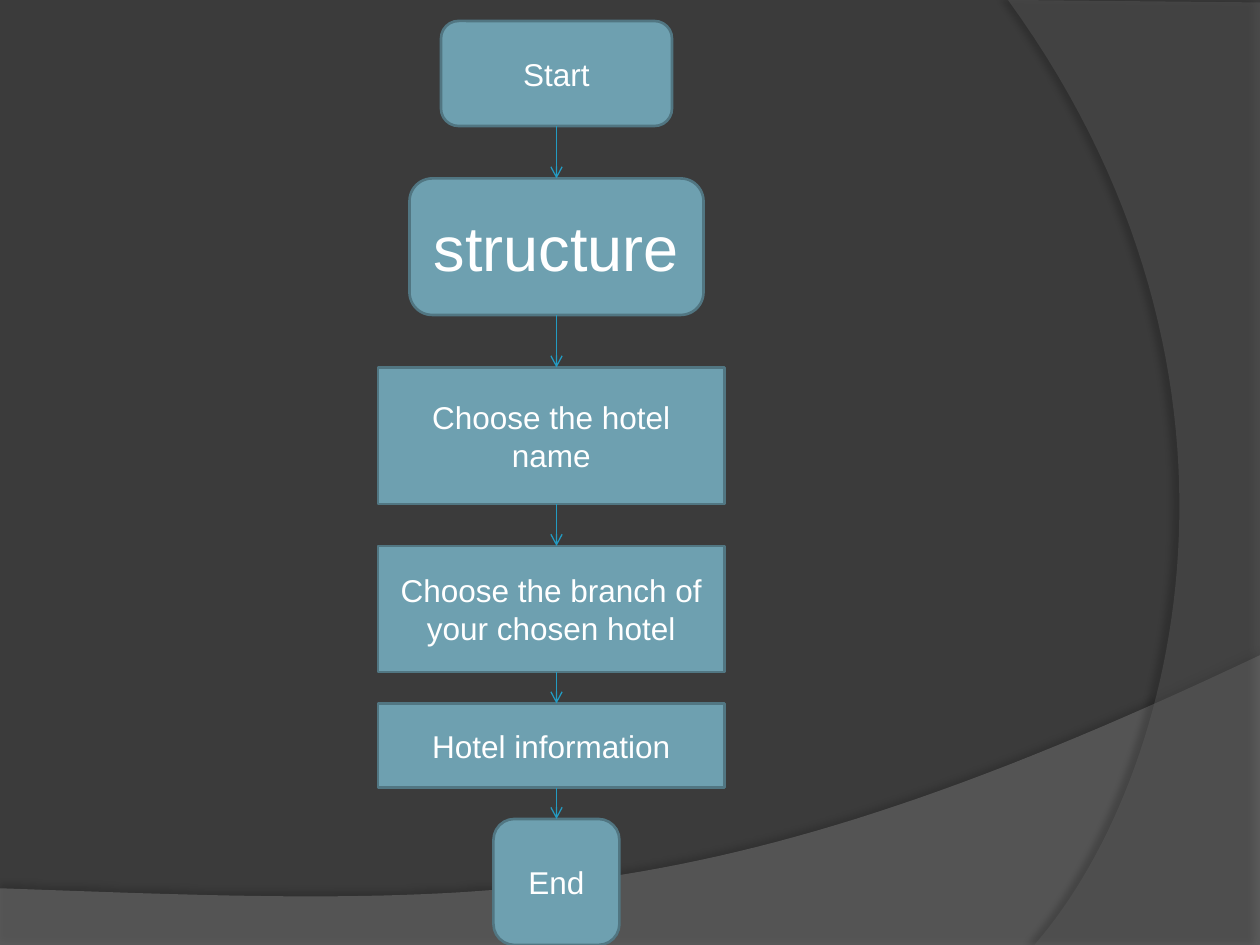
from lxml import etree
from pptx import Presentation
from pptx.dml.color import RGBColor
from pptx.enum.shapes import MSO_CONNECTOR, MSO_SHAPE
from pptx.enum.text import MSO_ANCHOR, PP_ALIGN
from pptx.oxml.ns import qn
from pptx.util import Pt

ROUNDED = MSO_SHAPE.ROUNDED_RECTANGLE
RECTANGLE = MSO_SHAPE.RECTANGLE
STRAIGHT = MSO_CONNECTOR.STRAIGHT
MIDDLE = MSO_ANCHOR.MIDDLE
CENTER = PP_ALIGN.CENTER
TOP_SITE, BOTTOM_SITE = 0, 2

FONT = "Arial"
COLORS = {
    "background": "3B3B3B",
    "sweep": "7F7F7F",
    "side": "5E5E5E",
    "shadow": "000000",
    "box": "6EA0B0",
    "border": "517682",
    "arrow": "239BC2",
    "text": "FFFFFF",
}
FLOW_AXIS = 102
STEPS = [
    ("Start", ROUNDED, 36, 0, 132, 60, 18),
    ("structure", ROUNDED, 18, 90, 168, 78, 36),
    ("Choose the hotel name", RECTANGLE, 0, 198, 198, 78, 18),
    ("Choose the branch of your chosen hotel", RECTANGLE, 0, 300, 198, 72, 18),
    ("Hotel information", RECTANGLE, 0, 390, 198, 48, 18),
    ("End", ROUNDED, 66, 456, 72, 72, 18),
]


def color(name):
    """Return the named colour."""
    return RGBColor.from_string(COLORS[name])


def add_alpha(color_element, percent):
    """Set the opacity of a colour element."""
    etree.SubElement(color_element, qn("a:alpha"), val=str(percent * 1000))


def curve(start, control_1, control_2, end, steps=60):
    """Return points along a cubic curve, both ends included."""
    points = []
    for index in range(steps + 1):
        t = index / steps
        weights = ((1 - t) ** 3, 3 * t * (1 - t) ** 2, 3 * t * t * (1 - t), t ** 3)
        points.append(tuple(
            sum(weight * value for weight, value in zip(weights, values))
            for values in zip(start, control_1, control_2, end)
        ))
    return points


def add_band(slide, left, top, points, fill, opacity, shadow):
    """Draw a translucent outline with an outer shadow."""
    outline = [(Pt(left + x), Pt(top + y)) for x, y in points]
    builder = slide.shapes.build_freeform(*outline[0])
    builder.add_line_segments(outline[1:], close=True)
    shape = builder.convert_to_shape()
    shape.fill.solid()
    shape.fill.fore_color.rgb = color(fill)
    shape.line.fill.background()
    shape.shadow.inherit = False
    properties = shape._element.spPr
    add_alpha(properties.find(qn("a:solidFill"))[0], opacity)
    distance, direction, shadow_opacity = shadow
    outer = etree.SubElement(
        properties.find(qn("a:effectLst")), qn("a:outerShdw"),
        blurRad=str(Pt(4)), dist=str(Pt(distance)),
        dir=str(direction * 60000), algn="ctr", rotWithShape="0",
    )
    shade = etree.SubElement(outer, qn("a:srgbClr"), val=COLORS["shadow"])
    add_alpha(shade, shadow_opacity)


def add_backdrop(slide, left, top, width, height):
    """Fill the background and draw the two curved bands."""
    slide.background.fill.solid()
    slide.background.fill.fore_color.rgb = color("background")
    sweep = [(0, 540.72), (width, 540.72)]
    sweep += curve((width, 374.4), (402.5, 524.9), (281.5, 517.7), (0, 507.6))
    add_band(slide, left, top, sweep, "sweep", 45, (3.5, 270, 35))
    side = [(width, 1.44), (width, height)]
    side += curve((591.1, height), (673.2, 445.7), (733, 216), (576, 0))
    add_band(slide, left, top, side, "side", 40, (4, 180, 45))


def add_step(slide, left, top, width, height, kind, label, size):
    """Draw one labelled box of the flowchart."""
    shape = slide.shapes.add_shape(kind, Pt(left), Pt(top), Pt(width), Pt(height))
    shape.shadow.inherit = False
    shape.fill.solid()
    shape.fill.fore_color.rgb = color("box")
    shape.line.color.rgb = color("border")
    shape.line.width = Pt(1.5)
    frame = shape.text_frame
    frame.word_wrap = True
    frame.vertical_anchor = MIDDLE
    paragraph = frame.paragraphs[0]
    paragraph.alignment = CENTER
    run = paragraph.add_run()
    run.text = label
    run.font.name = FONT
    run.font.size = Pt(size)
    run.font.color.rgb = color("text")
    return shape


def add_arrow(slide, axis, upper, lower):
    """Draw an arrow down the axis, joined to boxes centred on it."""
    x = Pt(axis)
    connector = slide.shapes.add_connector(
        STRAIGHT, x, upper.top + upper.height, x, lower.top)
    if upper.left + upper.width // 2 == x:
        connector.begin_connect(upper, BOTTOM_SITE)
    if lower.left + lower.width // 2 == x:
        connector.end_connect(lower, TOP_SITE)
    connector.line.color.rgb = color("arrow")
    connector.line.width = Pt(0.75)
    etree.SubElement(connector.line._get_or_add_ln(), qn("a:tailEnd"), type="arrow")
    etree.SubElement(connector._element.spPr, qn("a:effectLst"))


def add_flowchart(slide, left, top):
    """Draw the steps and the arrows between them."""
    previous = None
    for label, kind, x, y, width, height, size in STEPS:
        step = add_step(slide, left + x, top + y, width, height, kind, label, size)
        if previous is not None:
            add_arrow(slide, left + FLOW_AXIS, previous, step)
        previous = step


def main():
    """Build and save the presentation."""
    presentation = Presentation()
    presentation.slide_width = Pt(720)
    presentation.slide_height = Pt(540)
    slide = presentation.slides.add_slide(presentation.slide_layouts[6])
    add_backdrop(slide, 0, 0, 720, 540)
    add_flowchart(slide, 216, 12)
    presentation.save("out.pptx")


if __name__ == "__main__":
    main()
